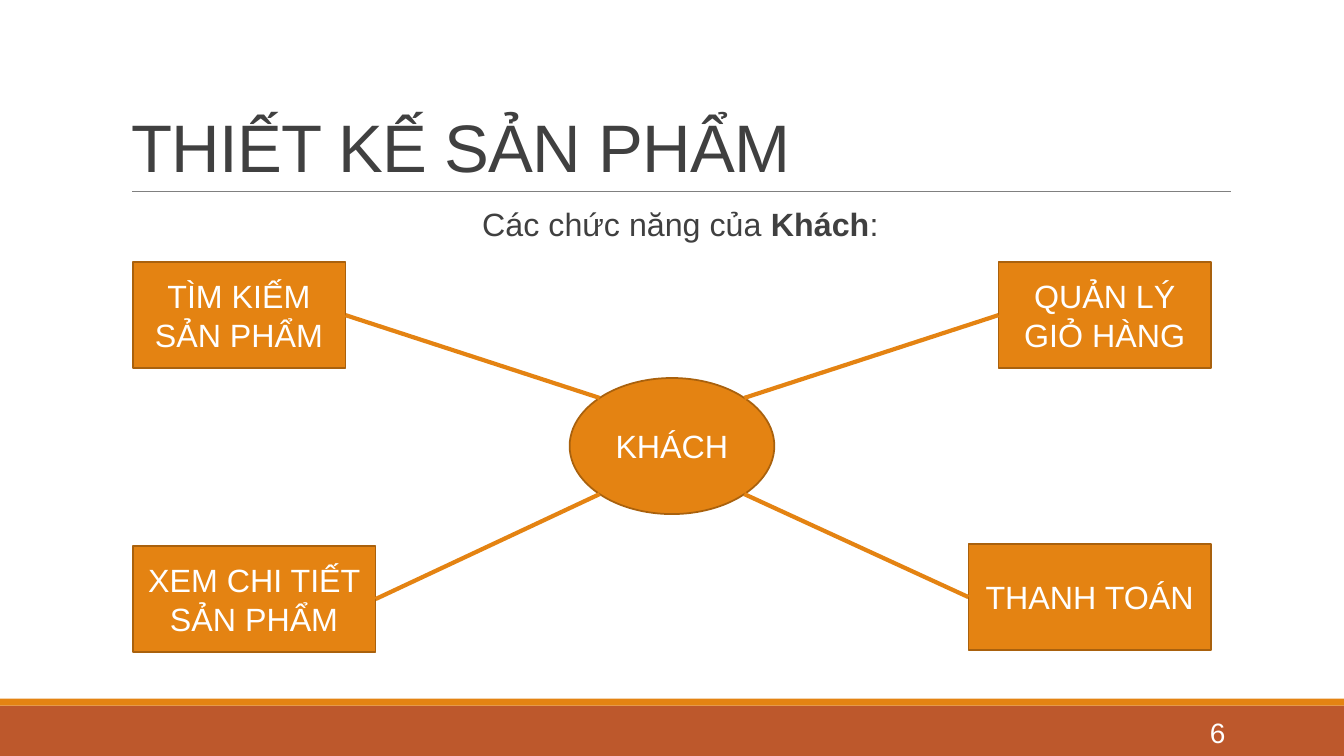
from dataclasses import dataclass
from math import sqrt

from lxml.etree import SubElement
from pptx import Presentation
from pptx.dml.color import RGBColor as RGB
from pptx.enum.shapes import MSO_CONNECTOR as CONN, MSO_SHAPE as SHAPE
from pptx.enum.text import MSO_ANCHOR as ANCHOR, MSO_AUTO_SIZE as AUTO, PP_ALIGN as ALIGN
from pptx.oxml.ns import qn
from pptx.util import Pt


@dataclass(frozen=True)
class Theme:
    """Colours, font and type sizes of the slide."""
    font: str = "Arial"
    ink: RGB = RGB(0x40, 0x40, 0x40)
    white: RGB = RGB(0xFF, 0xFF, 0xFF)
    rule: RGB = RGB(0x80, 0x80, 0x80)
    accent: RGB = RGB(0xE4, 0x83, 0x12)
    outline: RGB = RGB(0xA9, 0x61, 0x0D)
    band: RGB = RGB(0xBD, 0x58, 0x2C)
    title: float = 48
    body: float = 23
    number: float = 20


T = Theme()


def place(sp, box):
    """Move a shape to a box of left, top, width and height in points."""
    sp.left, sp.top, sp.width, sp.height = map(Pt, box)


def style(p, size, color, align):
    """Format a paragraph and all of its runs."""
    p.alignment = align
    for r in p.runs:
        r.font.name, r.font.size = T.font, Pt(size)
        r.font.color.rgb = color


def add_shape(slide, kind, box, fill, outline=None, text=""):
    """Add a filled shape with centred text."""
    sp = slide.shapes.add_shape(kind, *map(Pt, box))
    sp.shadow.inherit = False
    sp.fill.solid()
    sp.fill.fore_color.rgb = fill
    if outline is None:
        sp.line.fill.background()
    else:
        sp.line.color.rgb, sp.line.width = outline, Pt(1.25)
    if text:
        tf = sp.text_frame
        tf.text, tf.word_wrap, tf.vertical_anchor = text, True, ANCHOR.MIDDLE
        style(tf.paragraphs[0], T.body, T.white, ALIGN.CENTER)
    return sp


def add_line(slide, start, end, color, width):
    """Add a straight line without a shadow."""
    line = slide.shapes.add_connector(CONN.STRAIGHT, *map(Pt, start + end))
    line.line.color.rgb, line.line.width = color, Pt(width)
    SubElement(line._element.spPr, qn("a:effectLst"))
    return line


def add_footer(slide, box, number):
    """Draw the two footer bands and the slide number."""
    x, y, w, h = box
    stripe = 5
    add_shape(slide, SHAPE.RECTANGLE, (x, y + stripe, w, h - stripe), T.band)
    add_shape(slide, SHAPE.RECTANGLE, (x, y, w, stripe), T.accent)
    sp = slide.shapes.add_textbox(*map(Pt, (x + w - 180, y + 9.5, 102.5, 28.8)))
    tf = sp.text_frame
    tf.text, tf.word_wrap, tf.vertical_anchor = number, True, ANCHOR.MIDDLE
    style(tf.paragraphs[0], T.number, T.white, ALIGN.RIGHT)


def add_title(slide, box, text):
    """Fill the title placeholder and underline it."""
    x, y, w, h = box
    sp = slide.shapes.title
    place(sp, box)
    tf = sp.text_frame
    tf.text, tf.word_wrap = text, True
    tf.vertical_anchor, tf.auto_size = ANCHOR.BOTTOM, AUTO.NONE
    p = tf.paragraphs[0]
    p.line_spacing = 0.85
    style(p, T.title, T.ink, ALIGN.LEFT)
    p.runs[0]._r.get_or_add_rPr().set("spc", "-50")
    add_line(slide, (x + 8, y + h), (x + w + 1, y + h), T.rule, 0.5)


def add_intro(slide, box, parts):
    """Fill the body placeholder with one line of (text, bold) parts."""
    sp = slide.placeholders[1]
    place(sp, box)
    tf = sp.text_frame
    tf.word_wrap, tf.auto_size = True, AUTO.NONE
    tf.margin_left = tf.margin_right = 0
    p = tf.paragraphs[0]
    p.line_spacing, p.space_before, p.space_after = 0.9, Pt(12), Pt(2)
    for text, bold in parts:
        r = p.add_run()
        r.text, r.font.bold = text, bold
    style(p, T.body, T.ink, ALIGN.CENTER)
    pPr = p._p.get_or_add_pPr()
    pPr.set("marL", str(Pt(7.2)))
    pPr.set("indent", "0")
    SubElement(pPr, qn("a:buNone"))


def add_hub(slide, box, hub, functions):
    """Draw the hub and join it to a function in each corner of the box."""
    x, y, w, h = box
    hub_w, hub_h, node_h = 146.2, 97.2, 75.8
    cx, cy = x + w / 2, y + 131.4
    add_shape(slide, SHAPE.OVAL, (cx - hub_w / 2, cy - hub_h / 2, hub_w, hub_h),
              T.accent, T.outline, hub)
    for text, side, node_w, top in functions:
        left = x if side < 0 else x + w - node_w
        node = add_shape(slide, SHAPE.RECTANGLE, (left, y + top, node_w, node_h),
                         T.accent, T.outline, text)
        middle = y + top + node_h / 2
        level = -1 if middle < cy else 1
        start = (left + node_w if side < 0 else left, middle)
        end = (cx + side * hub_w / sqrt(8), cy + level * hub_h / sqrt(8))
        line = add_line(slide, start, end, T.accent, 3)
        line.begin_connect(node, 3 if side < 0 else 1)


def main():
    """Build the slide and save it."""
    prs = Presentation()
    prs.slide_width, prs.slide_height = Pt(960), Pt(540)
    slide = prs.slides.add_slide(prs.slide_layouts[1])
    add_footer(slide, (0, 499, 960, 41), "6")
    add_title(slide, (86.4, 22.3, 792, 114.5), "THIẾT KẾ SẢN PHẨM")
    add_intro(slide, (86.4, 145.4, 792, 316.8),
              [("Các chức năng của ", False), ("Khách", True), (":", False)])
    add_hub(slide, (94.8, 187.2, 770.4, 278.6), "KHÁCH", [
        ("TÌM KIẾM SẢN PHẨM", -1, 152, 0),
        ("XEM CHI TIẾT SẢN PHẨM", -1, 173.5, 202.8),
        ("THANH TOÁN", 1, 173.5, 201.4),
        ("QUẢN LÝ GIỎ HÀNG", 1, 152, 0),
    ])
    prs.save("out.pptx")


if __name__ == "__main__":
    main()
